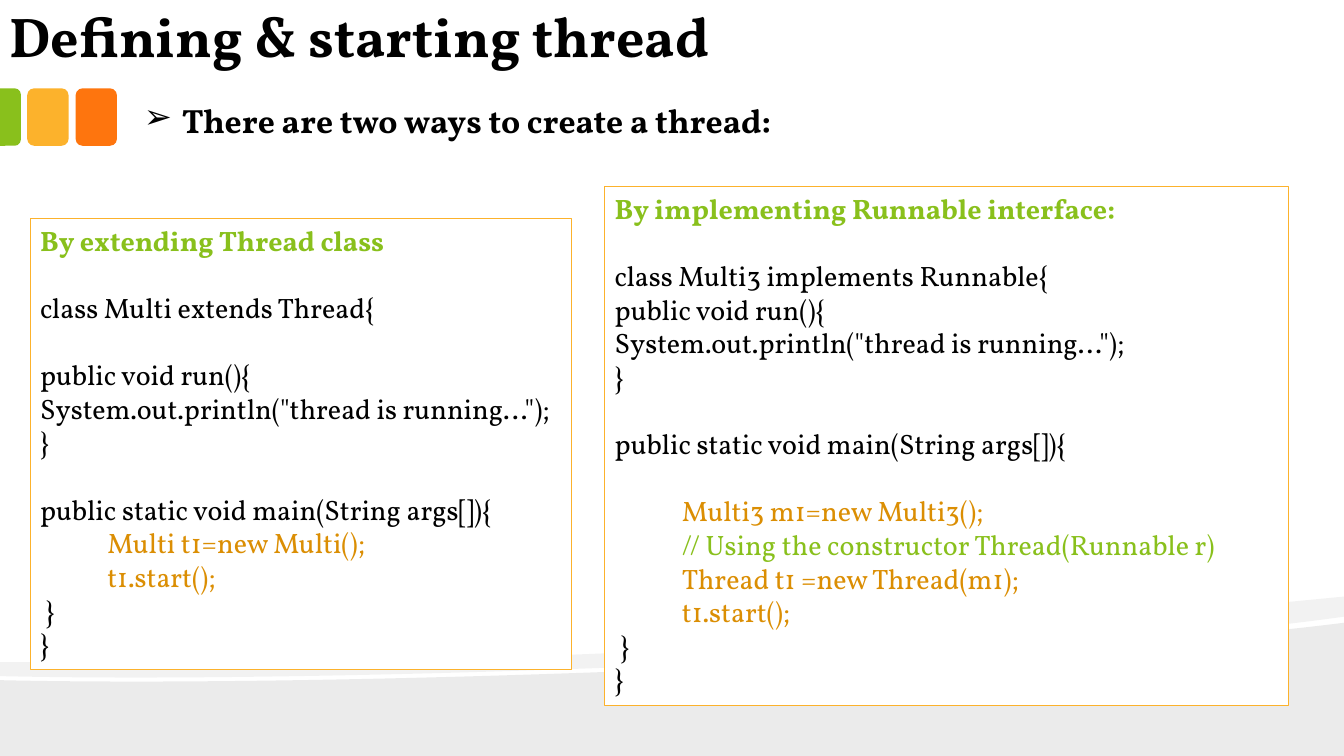
from dataclasses import dataclass

from lxml.etree import SubElement
from pptx import Presentation
from pptx.dml.color import RGBColor
from pptx.enum.shapes import MSO_SHAPE
from pptx.enum.text import MSO_ANCHOR, MSO_AUTO_SIZE, PP_ALIGN
from pptx.oxml.ns import qn
from pptx.util import Inches, Pt


@dataclass(frozen=True)
class Theme:
    font: str = "Vollkorn"
    black: str = "000000"
    white: str = "FFFFFF"
    green: str = "89C01C"
    yellow: str = "FCB22C"
    orange: str = "FE750E"
    amber: str = "DB8E03"
    title_size: int = 40
    lead_size: int = 24
    code_size: int = 20
    code_gap: int = 24
    border: float = 0.85


THEME = Theme()

# Grid: 40 columns by 22.5 rows of square cells
COLUMNS, ROWS = 40, 22.5
SLIDE_WIDTH, SLIDE_HEIGHT = Inches(13.33), Inches(7.5)
CELL = SLIDE_WIDTH / COLUMNS

# Code lines: (text, colour, indented, blank line above)
EXTENDING = [
    ("class Multi extends Thread{", THEME.black, False, True),
    ("public void run(){", THEME.black, False, True),
    ('System.out.println("thread is running...");', THEME.black, False, False),
    ("}", THEME.black, False, False),
    ("public static void main(String args[]){", THEME.black, False, True),
    ("Multi t1=new Multi();", THEME.amber, True, False),
    ("t1.start();", THEME.amber, True, False),
    (" }", THEME.black, False, False),
    ("}", THEME.black, False, False),
]
IMPLEMENTING = [
    ("class Multi3 implements Runnable{", THEME.black, False, True),
    ("public void run(){", THEME.black, False, False),
    ('System.out.println("thread is running...");', THEME.black, False, False),
    ("}", THEME.black, False, False),
    ("public static void main(String args[]){", THEME.black, False, True),
    ("Multi3 m1=new Multi3();", THEME.amber, True, True),
    ("// Using the constructor Thread(Runnable r)", THEME.green, True, False),
    ("Thread t1 =new Thread(m1);", THEME.amber, True, False),
    ("t1.start();", THEME.amber, True, False),
    (" }", THEME.black, False, False),
    ("}", THEME.black, False, False),
]


def cells(*counts):
    return [round(count * CELL) for count in counts]


def paint(shape, color, opacity=100):
    shape.shadow.inherit = False
    shape.line.fill.background()
    shape.fill.solid()
    shape.fill.fore_color.rgb = RGBColor.from_string(color)
    if opacity < 100:
        srgb = shape.fill._xPr.find(".//" + qn("a:srgbClr"))
        SubElement(srgb, qn("a:alpha"), val=str(opacity * 1000))


def style(paragraph, size, color, bold=False):
    paragraph.alignment = PP_ALIGN.LEFT
    font = paragraph.font
    font.name, font.size, font.bold = THEME.font, Pt(size), bold
    font.color.rgb = RGBColor.from_string(color)


def indent(paragraph, left, first=0):
    """Indent by a number of columns."""
    properties = paragraph._p.get_or_add_pPr()
    margin, hanging = cells(left, first)
    properties.set("marL", str(margin))
    properties.set("indent", str(hanging))
    return properties


def add_wave(slide, points, curve_starts, opacity):
    """Draw an outline; three points from each curve start form one cubic curve."""
    outline = [cells(*point) for point in points]
    builder = slide.shapes.build_freeform(*outline[0], scale=1.0)
    builder.add_line_segments(outline[1:], close=True)
    wave = builder.convert_to_shape()
    segments = wave._element.findall(".//" + qn("a:lnTo"))
    for start in curve_starts:
        # Segment n leads to point n + 1
        bend, *others = segments[start - 1:start + 2]
        bend.tag = qn("a:cubicBezTo")
        for other in others:
            bend.append(other[0])
            other.getparent().remove(other)
    paint(wave, THEME.black, opacity)


def add_waves(slide):
    add_wave(slide, [(COLUMNS, 18.54), (COLUMNS, ROWS), (0, ROWS), (0, 20.25),
                     (10.56, 20.49), (31.26, 19.65), (COLUMNS, 18.54)], [4], 8)
    add_wave(slide, [(COLUMNS, 17.76), (COLUMNS, 18.36),
                     (37.65, 18.69), (34.47, 18.99), (30.87, 19.23),
                     (20.94, 19.89), (7.74, 20.31), (0, 20.13), (0, 19.71),
                     (19.56, 19.86), (29.13, 18.81), (COLUMNS, 17.76)],
             [2, 5, 9], 5)


def add_swatches(slide):
    top, width, height, pitch = 2.63, 1.23, 1.71, 1.44
    first = 0.81
    for order, color in enumerate((THEME.orange, THEME.yellow)):
        swatch = slide.shapes.add_shape(
            MSO_SHAPE.ROUNDED_RECTANGLE,
            *cells(first + (1 - order) * pitch, top, width, height))
        paint(swatch, color)
    # Half swatch at the slide edge, turned so its round corners face right
    visible = 0.62
    edge = slide.shapes.add_shape(
        MSO_SHAPE.ROUND_2_SAME_RECTANGLE,
        *cells((visible - height) / 2, top + (height - visible) / 2, height, visible))
    edge.rotation = 90
    edge.adjustments[0] = 0.292
    paint(edge, THEME.green)


def add_title(slide, text):
    title = slide.shapes.add_textbox(*cells(-0.11, -0.24, 31.1, 2.49))
    frame = title.text_frame
    frame.word_wrap = True
    frame.vertical_anchor = MSO_ANCHOR.BOTTOM
    frame.margin_left = frame.margin_right = Inches(0.13)
    frame.margin_top = frame.margin_bottom = Inches(0.07)
    frame.text = text
    style(frame.paragraphs[0], THEME.title_size, THEME.black, bold=True)


def add_lead(slide, text):
    lead = slide.shapes.add_textbox(*cells(3.99, 2.82, 20.35, 1.5))
    frame = lead.text_frame
    frame.word_wrap = True
    frame.auto_size = MSO_AUTO_SIZE.SHAPE_TO_FIT_TEXT
    frame.text = text
    properties = indent(frame.paragraphs[0], 1.13, -1.13)
    SubElement(properties, qn("a:buFont"), typeface=THEME.font)
    SubElement(properties, qn("a:buChar"), char="➢")
    style(frame.paragraphs[0], THEME.lead_size, THEME.black, bold=True)


def add_code_panel(slide, place, heading, lines):
    panel = slide.shapes.add_shape(MSO_SHAPE.RECTANGLE, *cells(*place))
    paint(panel, THEME.white)
    panel.line.color.rgb = RGBColor.from_string(THEME.yellow)
    panel.line.width = Pt(THEME.border)
    frame = panel.text_frame
    frame.word_wrap = True
    frame.auto_size = MSO_AUTO_SIZE.SHAPE_TO_FIT_TEXT
    frame.vertical_anchor = MSO_ANCHOR.TOP
    frame.text = heading
    style(frame.paragraphs[0], THEME.code_size, THEME.green, bold=True)
    for text, color, indented, gap_above in lines:
        line = frame.add_paragraph()
        line.text = text
        if indented:
            line.level = 1
            indent(line, 2)
        if gap_above:
            line.space_before = Pt(THEME.code_gap)
        style(line, THEME.code_size, color)


def main():
    deck = Presentation()
    deck.slide_width, deck.slide_height = SLIDE_WIDTH, SLIDE_HEIGHT
    slide = deck.slides.add_slide(deck.slide_layouts[6])

    # Backdrop
    add_waves(slide)
    add_swatches(slide)

    # Content
    add_title(slide, "Defining & starting thread")
    add_code_panel(slide, (0.9, 6.5, 16.1, 13.44),
                   "By extending Thread class", EXTENDING)
    add_code_panel(slide, (18, 5.55, 20.35, 15.45),
                   "By implementing Runnable interface:", IMPLEMENTING)
    add_lead(slide, "There are two ways to create a thread:")
    deck.save("out.pptx")


if __name__ == "__main__":
    main()
